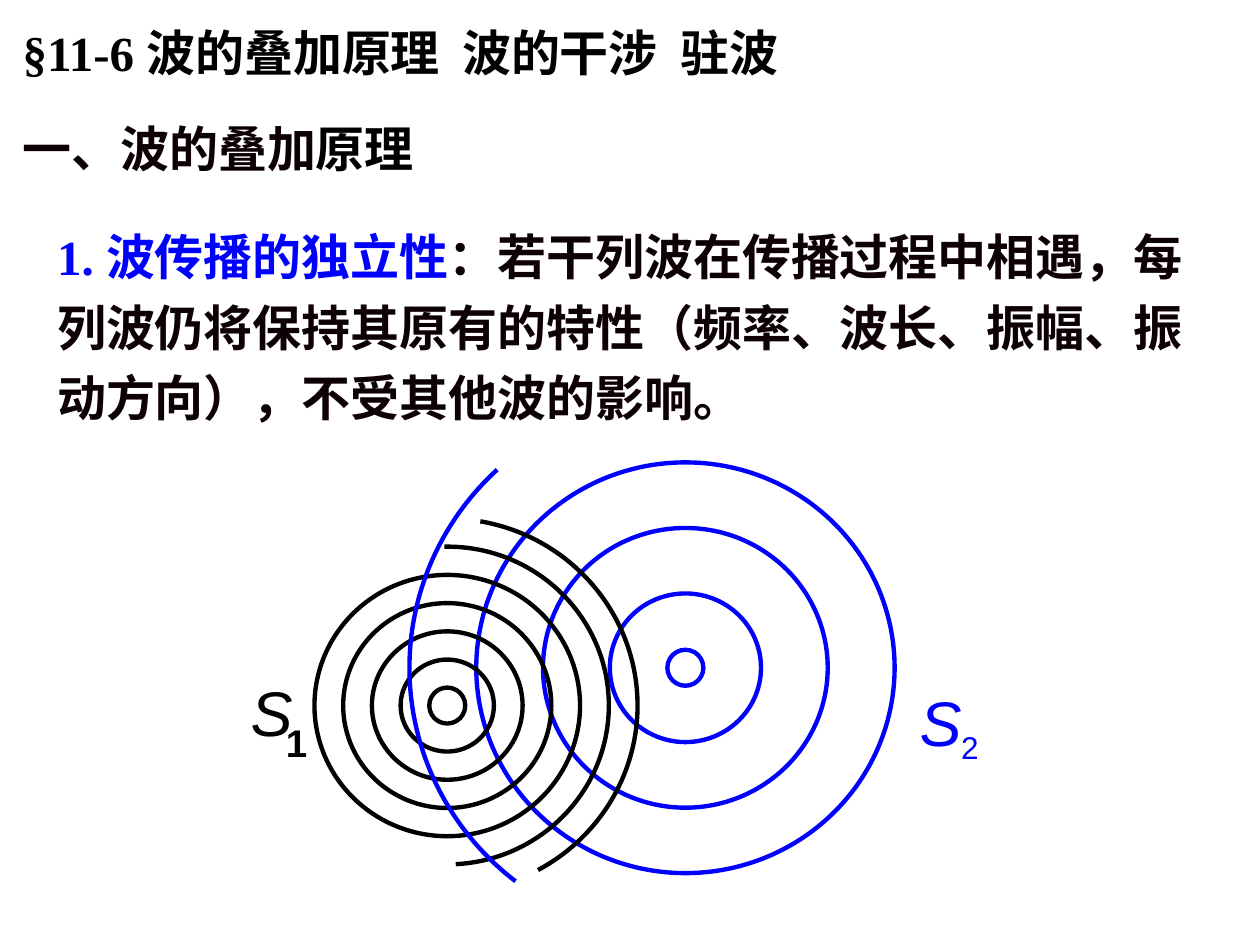
from math import cos, radians, sin, tan

from lxml import etree
from pptx import Presentation
from pptx.dml.color import RGBColor
from pptx.enum.shapes import MSO_SHAPE
from pptx.enum.text import MSO_ANCHOR, MSO_AUTO_SIZE, PP_ALIGN
from pptx.oxml.ns import qn
from pptx.util import Inches, Pt

OVAL = MSO_SHAPE.OVAL
TOP = MSO_ANCHOR.TOP
GROW = MSO_AUTO_SIZE.SHAPE_TO_FIT_TEXT
LEFT = PP_ALIGN.LEFT

BLACK = RGBColor(0x00, 0x00, 0x00)
INK = RGBColor(0x0E, 0x00, 0x07)
BLUE = RGBColor(0x00, 0x00, 0xFF)

SERIF, SANS = "Times New Roman", "Arial"
SLIDE_W, SLIDE_H = Inches(10), Inches(7.5)
CELL = SLIDE_W // 100  # the slide is 100 columns by 75 rows
WAVE_WIDTH = Pt(2.5)
CORE_RADIUS = 1.43


def cells(*counts):
    return [round(count * CELL) for count in counts]


def add_run(paragraph, text, color, size=28, font=SERIF, bold=False, italic=False):
    run = paragraph.add_run()
    run.text = text
    run.font.name = font
    run.font.size = Pt(size)
    run.font.bold = bold
    run.font.italic = italic
    run.font.color.rgb = color


def prepare_frame(shape, wrap=True):
    """Set the shape's text frame to top-left and return its first paragraph."""
    frame = shape.text_frame
    frame.word_wrap = wrap
    frame.auto_size = GROW
    frame.vertical_anchor = TOP
    paragraph = frame.paragraphs[0]
    paragraph.alignment = LEFT
    return paragraph


def add_title(slide, box, text):
    title = slide.shapes.title
    title.left, title.top, title.width, title.height = cells(*box)
    add_run(prepare_frame(title), text, BLACK, bold=True)


def add_passage(slide, box, runs, spacing=1.0):
    paragraph = prepare_frame(slide.shapes.add_textbox(*cells(*box)))
    paragraph.line_spacing = spacing
    for text, color in runs:
        add_run(paragraph, text, color, bold=True)


def add_label(shapes, box, text, color, size, bold=False, italic=False):
    paragraph = prepare_frame(shapes.add_textbox(*cells(*box)), wrap=False)
    add_run(paragraph, text, color, size, SANS, bold, italic)


def style_wave(wave, color):
    wave.fill.background()
    wave.line.color.rgb = color
    wave.line.width = WAVE_WIDTH
    wave.shadow.inherit = False


def add_wavefront(shapes, center, radii, color):
    (cx, cy), (rx, ry) = center, radii
    wave = shapes.add_shape(OVAL, *cells(cx - rx, cy - ry, 2 * rx, 2 * ry))
    style_wave(wave, color)


def curve_segments(freeform):
    """Turn each three line segments of the outline into one cubic curve."""
    outline = next(freeform._element.iter(qn("a:path")))
    lines = outline.findall(qn("a:lnTo"))
    for first in range(0, len(lines), 3):
        curve = etree.SubElement(outline, qn("a:cubicBezTo"))
        for line in lines[first:first + 3]:
            curve.append(line[0])
            outline.remove(line)


def add_partial_wavefront(shapes, center, radii, angles, color):
    """Draw an open arc through angles in degrees, clockwise from the right."""
    (cx, cy), (rx, ry) = center, radii

    def point(angle, pull=0):
        return cells(cx + rx * (cos(angle) - pull * sin(angle)),
                     cy + ry * (sin(angle) + pull * cos(angle)))

    turns = [radians(angle) for angle in angles]
    builder = shapes.build_freeform(*point(turns[0]))
    for start, end in zip(turns, turns[1:]):
        pull = 4 / 3 * tan((end - start) / 4)
        builder.add_line_segments(
            [point(start, pull), point(end, -pull), point(end)], close=False)
    arc = builder.convert_to_shape()
    curve_segments(arc)
    style_wave(arc, color)


def add_source(slide, center, color, letter_box, digit_box, digit, digit_size, bold):
    """Group a wave source with its subscripted name."""
    shapes = slide.shapes.add_group_shape().shapes
    add_wavefront(shapes, center, (CORE_RADIUS, CORE_RADIUS), color)
    add_label(shapes, digit_box, digit, color, digit_size, bold=bold)
    add_label(shapes, letter_box, "S", color, 36, italic=True)


def main():
    prs = Presentation()
    prs.slide_width, prs.slide_height = SLIDE_W, SLIDE_H
    slide = prs.slides.add_slide(prs.slide_layouts[5])

    add_title(slide, (0.8, 1.3, 79.9, 5.7), "§11-6 波的叠加原理  波的干涉  驻波")
    add_passage(slide, (0.8, 8.9, 43.3, 5.7), [("一、波的叠加", INK), ("原理", BLACK)])
    add_passage(slide, (3.55, 16.55, 91.7, 17.8), [
        ("1. 波传播的独立性", BLUE),
        ("：若干列波在传播过程中相遇，每列波仍将保持其原有的特性"
         "（频率、波长、振幅、振动方向），不受其他波的影响。", INK),
    ], spacing=1.2)

    center_1, center_2 = (35.5, 56), (54.4, 53)

    def radii_1(n):
        return 3.7 + 2.28 * n, 3.65 + 2.24 * n

    def radii_2(n):
        return 6 + 5.3 * n, 5.9 + 5.2 * n

    for n in (1, 2, 0):
        add_wavefront(slide.shapes, center_2, radii_2(n), BLUE)
    for n in (3, 0, 1, 2):
        add_wavefront(slide.shapes, center_1, radii_1(n), BLACK)

    for center, radii, angles, color in [
        (center_1, radii_1(4), (-91, 0, 87), BLACK),
        (center_1, radii_1(5), (-80, 0, 61.5), BLACK),
        (center_2, radii_2(3), (128, 180, 227), BLUE),
    ]:
        add_partial_wavefront(slide.shapes, center, radii, angles, color)

    add_source(slide, center_1, BLACK, (18.9, 53, 5.4, 7), (21.7, 56.6, 3.7, 4.7),
               "1", 22, True)
    add_source(slide, center_2, BLUE, (72, 53.75, 5.4, 7), (75.3, 57.3, 3.4, 4),
               "2", 18, False)

    prs.save("out.pptx")


if __name__ == "__main__":
    main()
